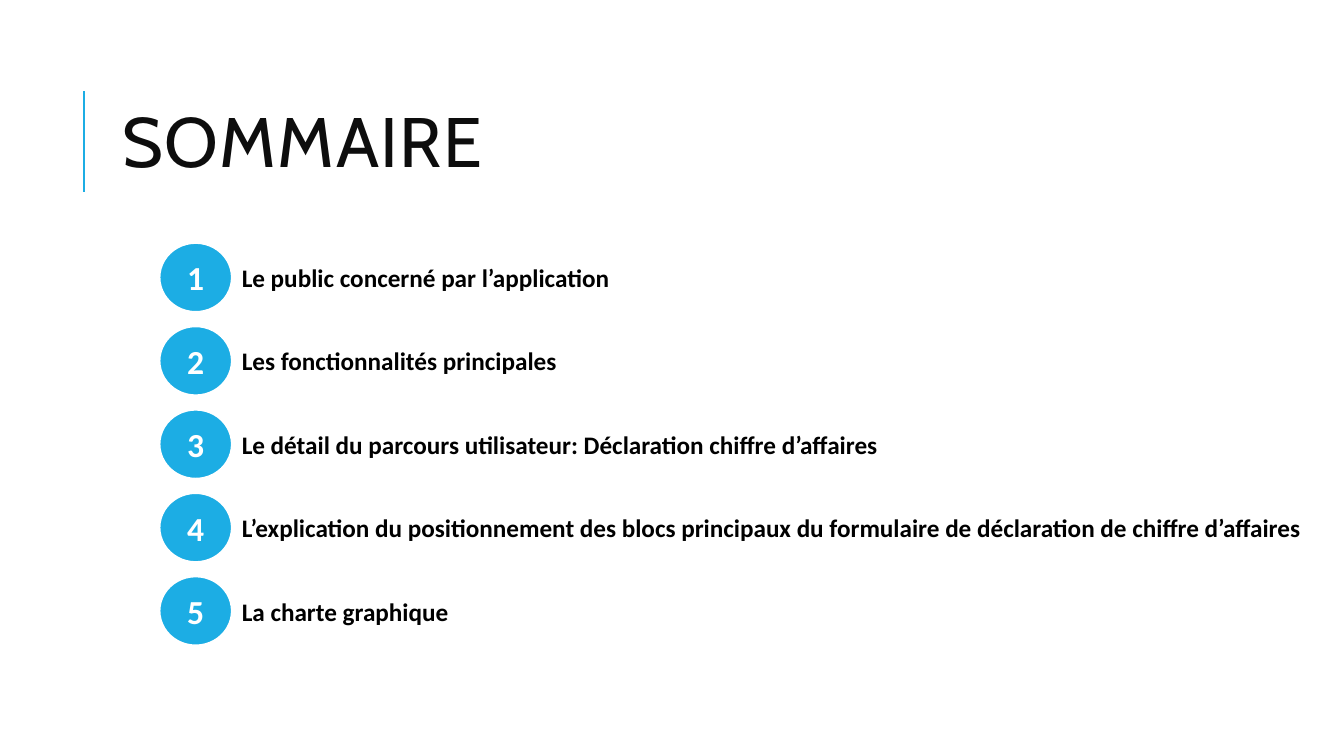
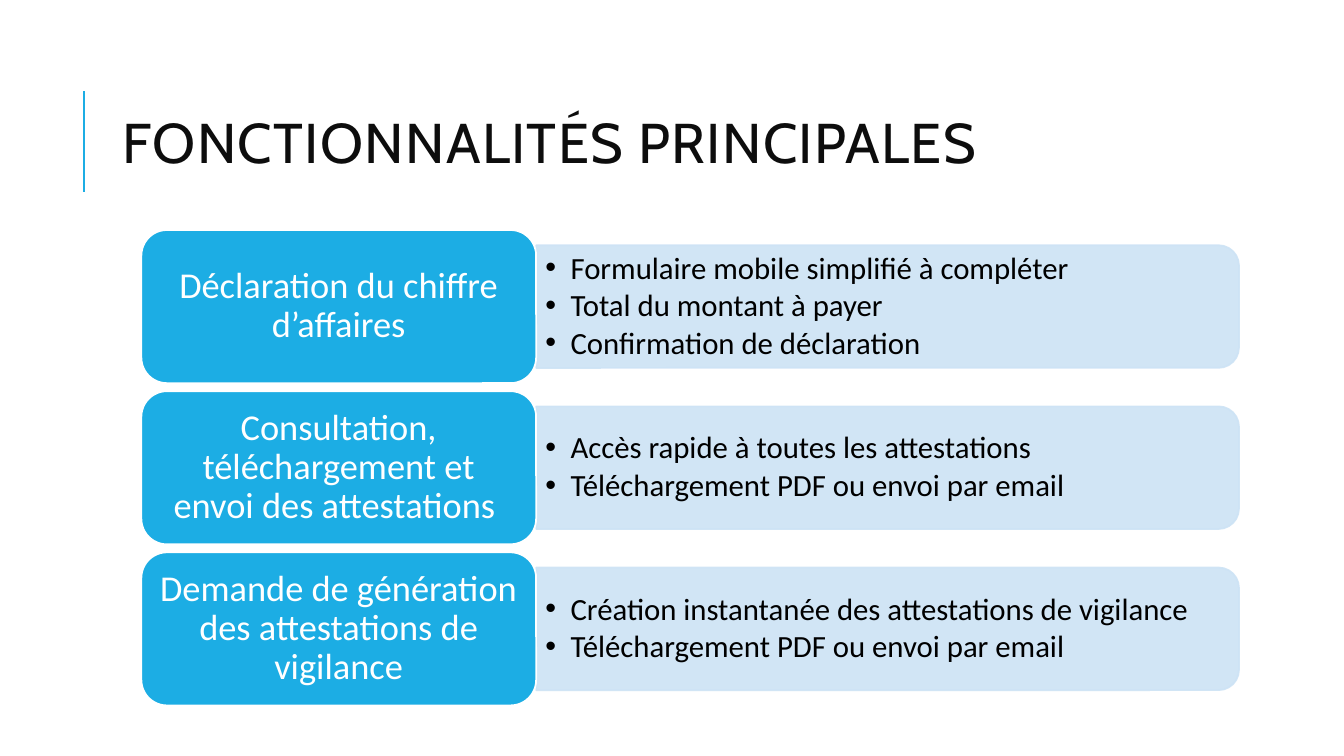
"""Build the summary slide and the main features slide of an application presentation."""
from dataclasses import dataclass

from lxml import etree
from pptx import Presentation
from pptx.dml.color import RGBColor
from pptx.enum.shapes import MSO_CONNECTOR, MSO_SHAPE
from pptx.enum.text import MSO_ANCHOR, PP_ALIGN
from pptx.oxml.ns import qn
from pptx.util import Pt

OVAL = MSO_SHAPE.OVAL
CARD = MSO_SHAPE.ROUNDED_RECTANGLE
PANEL = MSO_SHAPE.ROUND_2_SAME_RECTANGLE
STRAIGHT = MSO_CONNECTOR.STRAIGHT
LEFT, CENTER = PP_ALIGN.LEFT, PP_ALIGN.CENTER
MIDDLE = MSO_ANCHOR.MIDDLE


@dataclass(frozen=True)
class Theme:
    """Hold the colours, fonts and type sizes."""
    accent: RGBColor = RGBColor.from_string("1CADE4")
    pale: RGBColor = RGBColor.from_string("CDE3F5")
    white: RGBColor = RGBColor.from_string("FFFFFF")
    black: RGBColor = RGBColor.from_string("000000")
    title_ink: RGBColor = RGBColor.from_string("0D0D0D")
    title_font: str = "Cabin"
    body_font: str = "Calibri"
    summary_title: int = 50
    features_title: int = 40
    number: int = 24
    topic: int = 18
    card: int = 26
    bullet: int = 22
    outline: float = 1.25
    title_rule: float = 1.5


THEME = Theme()

SUMMARY_TITLE = "SOMMAIRE"
TOPICS = [
    "Le public concerné par l’application",
    "Les fonctionnalités principales",
    "Le détail du parcours utilisateur: Déclaration chiffre d’affaires",
    "L’explication du positionnement des blocs principaux du formulaire de déclaration de chiffre d’affaires",
    "La charte graphique",
]

FEATURES_TITLE = "FONCTIONNALITÉS PRINCIPALES"
FEATURES = [
    ("Déclaration du chiffre d’affaires", [
        "Formulaire mobile simplifié à compléter",
        "Total du montant à payer",
        "Confirmation de déclaration",
    ]),
    ("Consultation, téléchargement et envoi des attestations ", [
        "Accès rapide à toutes les attestations",
        "Téléchargement PDF ou envoi par email",
    ]),
    ("Demande de génération des attestations de vigilance", [
        "Création instantanée des attestations de vigilance",
        "Téléchargement PDF ou envoi par email",
    ]),
]


def write(holder, lines, size, color, font=THEME.body_font, bold=False,
          align=LEFT, spacing=1.0, after=0, inset=7.2):
    frame = holder.text_frame
    frame.word_wrap = True
    frame.vertical_anchor = MIDDLE
    frame.margin_left = frame.margin_right = Pt(inset)
    frame.margin_top = frame.margin_bottom = Pt(3.6)
    frame.text = "\n".join(lines)
    for paragraph in frame.paragraphs:
        paragraph.alignment = align
        paragraph.line_spacing = spacing
        paragraph.space_after = Pt(after)
        for run in paragraph.runs:
            run.font.name = font
            run.font.size = Pt(size)
            run.font.bold = bold
            run.font.color.rgb = color
    return frame


def add_text(slide, box, lines, size, color, **style):
    holder = slide.shapes.add_textbox(*map(Pt, box))
    return write(holder, lines, size, color, **style)


def add_block(slide, kind, box, fill, line):
    block = slide.shapes.add_shape(kind, *map(Pt, box))
    block.shadow.inherit = False
    block.fill.solid()
    block.fill.fore_color.rgb = fill
    block.line.color.rgb = line
    block.line.width = Pt(THEME.outline)
    return block


def add_titled_slide(deck, title, size):
    slide = deck.slides.add_slide(deck.slide_layouts[6])
    rule = slide.shapes.add_connector(STRAIGHT, Pt(60), Pt(136.8), Pt(60), Pt(64.8))
    rule.line.color.rgb = THEME.accent
    rule.line.width = Pt(THEME.title_rule)
    etree.SubElement(rule.element.spPr, qn("a:effectLst"))
    frame = add_text(slide, (80.6, 46, 765.4, 118), [title], size, THEME.title_ink,
                     font=THEME.title_font, spacing=0.8)
    frame.paragraphs[0].runs[0].font._element.set("spc", "100")
    return slide


def make_translucent(block, percent):
    for color in block.element.spPr.iter(qn("a:srgbClr")):
        etree.SubElement(color, qn("a:alpha"), val=str(percent * 1000))


def add_bullets(frame, indent):
    for paragraph in frame.paragraphs:
        properties = paragraph._p.get_or_add_pPr()
        properties.set("marL", str(Pt(indent)))
        properties.set("indent", str(-Pt(indent)))
        etree.SubElement(properties, qn("a:buFont"), typeface="Arial")
        etree.SubElement(properties, qn("a:buChar"), char="•")


def build_summary(deck):
    slide = add_titled_slide(deck, SUMMARY_TITLE, THEME.summary_title)
    left, top, step = 114, 173.6, 59.55
    width, height, label_height = 51.6, 49.2, 29
    label_left = left + width
    for index, topic in enumerate(TOPICS):
        y = top + index * step
        badge = add_block(slide, OVAL, (left, y, width, height), THEME.accent, THEME.white)
        write(badge, [str(index + 1)], THEME.number, THEME.white,
              bold=True, align=CENTER, inset=0)
        label_top = y + (height - label_height) / 2
        add_text(slide, (label_left, label_top, 788.4, label_height), [topic],
                 THEME.topic, THEME.black, bold=True)


def build_features(deck):
    slide = add_titled_slide(deck, FEATURES_TITLE, THEME.features_title)
    left, top, step = 101, 164.3, 115.1
    card_width, card_height = 282, 109.4
    panel_width, panel_height = 502, 87.6
    panel_left = left + card_width
    for index, (feature, details) in enumerate(FEATURES):
        y = top + index * step
        middle = y + card_height / 2
        upright = (panel_left + (panel_width - panel_height) / 2,
                   middle - panel_width / 2, panel_height, panel_width)
        panel = add_block(slide, PANEL, upright, THEME.pale, THEME.pale)
        panel.rotation = 90
        make_translucent(panel, 90)
        frame = add_text(slide, (panel_left, middle - 39.5, 497.6, 79), details,
                         THEME.bullet, THEME.black, spacing=0.9, after=3, inset=6.6)
        add_bullets(frame, 18)
        card = add_block(slide, CARD, (left, y, card_width, card_height),
                         THEME.accent, THEME.white)
        write(card, [feature], THEME.card, THEME.white,
              align=CENTER, spacing=0.9, inset=7.8)


def main():
    deck = Presentation()
    deck.slide_width, deck.slide_height = Pt(960), Pt(540)
    build_summary(deck)
    build_features(deck)
    deck.save("out.pptx")


if __name__ == "__main__":
    main()
